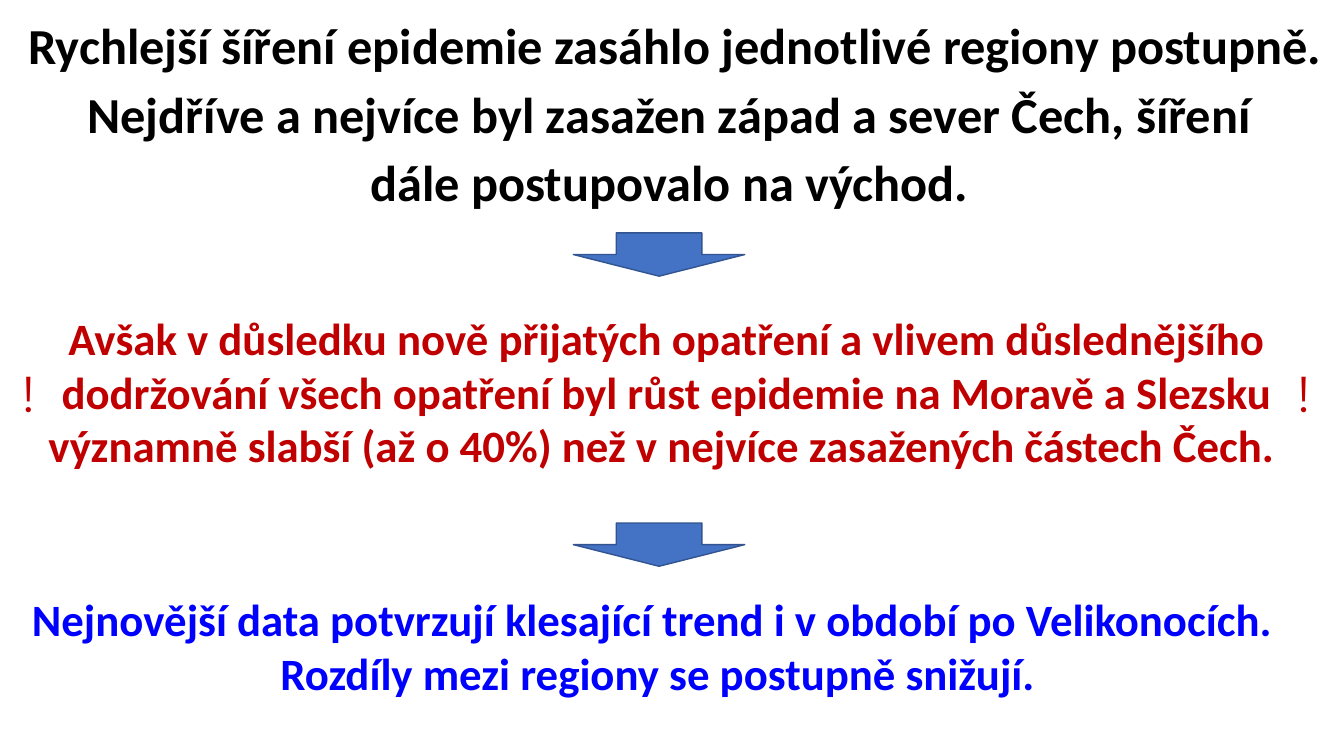
from pptx import Presentation
from pptx.dml.color import RGBColor
from pptx.enum import shapes, text
from pptx.util import Cm, Pt

BLACK, RED, BLUE = "000000", "C00000", "0000FF"
ARROW_FILL, ARROW_LINE = "4472C4", "325491"

SPREAD = [
    "Rychlejší šíření epidemie zasáhlo jednotlivé regiony postupně. ",
    "Nejdříve a nejvíce byl zasažen západ a sever Čech, šíření ",
    "dále postupovalo na východ. ",
]
MEASURES = [
    "Avšak v důsledku nově přijatých opatření a vlivem důslednějšího "
    "dodržování všech opatření byl růst epidemie na Moravě a Slezsku "
    "významně slabší (až o 40%) než v nejvíce zasažených částech Čech. ",
]
TREND = [
    "Nejnovější data potvrzují klesající trend i v období po Velikonocích. ",
    "Rozdíly mezi regiony se postupně snižují.",
]
STATEMENTS = [
    (SPREAD, (0.41, 0.41, 33.22, 5.2), 36, BLACK, 0.9, 10),
    (MEASURES, (0.76, 7.7, 32.1, 4.37), 32, RED, 1.0, 0),
    (TREND, (0.53, 14.78, 32.1, 3.0), 32, BLUE, 1.0, 0),
]
ARROW_LEFT, ARROW_WIDTH, ARROW_HEIGHT = 14.45, 4.32, 1.09
ARROW_TOPS = [5.87, 13.18]
MARK_LEFTS = [0.3, 32.44]
MARK_TOP, MARK_WIDTH, MARK_HEIGHT = 8.99, 0.94, 1.8


def colour(value):
    return RGBColor.from_string(value)


def add_text(page, lines, area, size, ink, font="Calibri", bold=True,
             align=text.PP_ALIGN.CENTER, spacing=1.0, gap=0):
    frame = page.shapes.add_textbox(*map(Cm, area)).text_frame
    frame.word_wrap = True
    for index, line in enumerate(lines):
        para = frame.add_paragraph() if index else frame.paragraphs[0]
        para.text = line
        para.alignment = align
        para.line_spacing = spacing
        para.space_before = Pt(gap if index else 0)
        para.font.name = font
        para.font.size = Pt(size)
        para.font.bold = bold
        para.font.color.rgb = colour(ink)


def add_arrow(page, top):
    area = (ARROW_LEFT, top, ARROW_WIDTH, ARROW_HEIGHT)
    arrow = page.shapes.add_shape(shapes.MSO_SHAPE.DOWN_ARROW, *map(Cm, area))
    arrow.shadow.inherit = False
    arrow.fill.solid()
    arrow.fill.fore_color.rgb = colour(ARROW_FILL)
    arrow.line.color.rgb = colour(ARROW_LINE)
    arrow.line.width = Pt(1)


def main():
    deck = Presentation()
    deck.slide_width, deck.slide_height = Cm(33.87), Cm(19.05)
    page = deck.slides.add_slide(deck.slide_layouts.get_by_name("Blank"))
    for lines, area, size, ink, spacing, gap in STATEMENTS:
        add_text(page, lines, area, size, ink, spacing=spacing, gap=gap)
    for top in ARROW_TOPS:
        add_arrow(page, top)
    for left in MARK_LEFTS:
        add_text(page, ["!"], (left, MARK_TOP, MARK_WIDTH, MARK_HEIGHT), 36, RED,
                 font="Montserrat", bold=False, align=text.PP_ALIGN.LEFT)
    deck.save("out.pptx")


if __name__ == "__main__":
    main()
